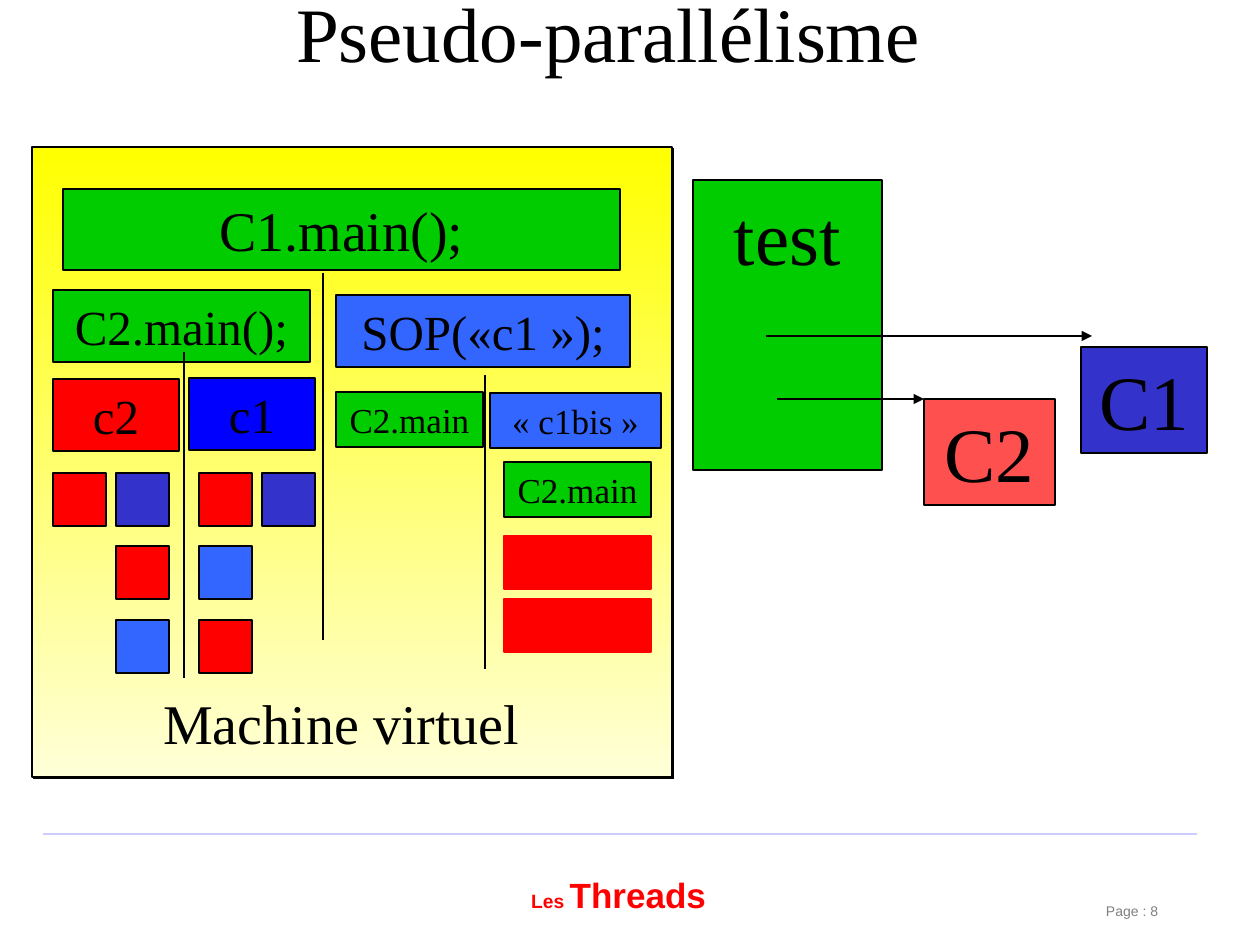
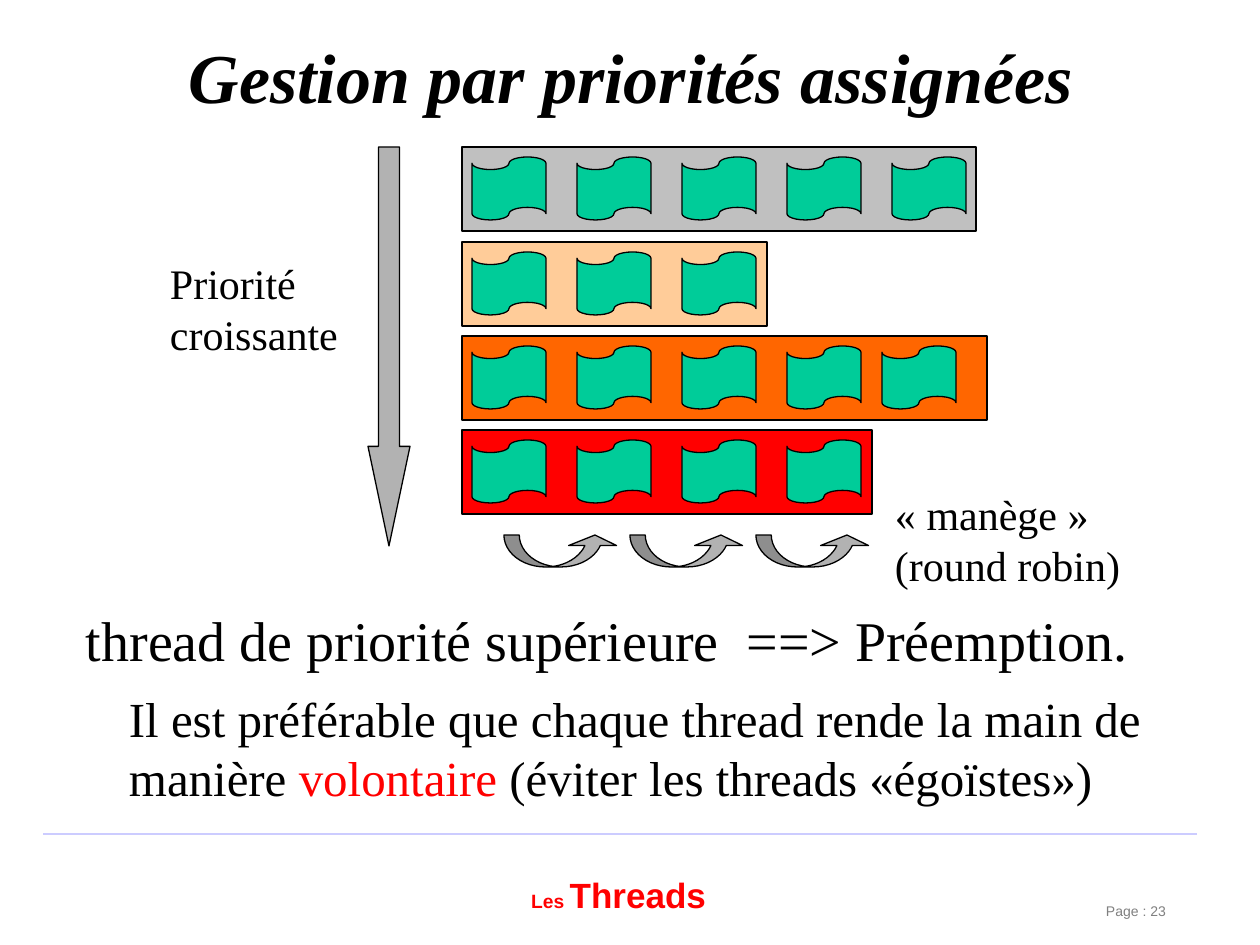
from dataclasses import dataclass
from typing import NamedTuple

from lxml import etree
from pptx import Presentation
from pptx.dml.color import RGBColor
from pptx.enum.shapes import MSO_CONNECTOR as Connector, MSO_SHAPE as Preset
from pptx.enum.text import MSO_ANCHOR as Anchor, PP_ALIGN as Align
from pptx.oxml.ns import qn
from pptx.shapes.autoshape import Shape
from pptx.slide import Slide
from pptx.util import Emu, Pt

# Scale: 126 px to the inch
EMU_PER_PX = 914400 / 126
SLIDE_SIZE = (1260, 945)

# Colours
BLACK = RGBColor(0x00, 0x00, 0x00)
GREY = RGBColor(0x80, 0x80, 0x80)
LAVENDER = RGBColor(0xCC, 0xCC, 0xFF)
RED = RGBColor(0xFF, 0x00, 0x00)
CORAL = RGBColor(0xFF, 0x50, 0x50)
GREEN = RGBColor(0x00, 0xCC, 0x00)
TEAL = RGBColor(0x00, 0xCC, 0x99)
BLUE = RGBColor(0x00, 0x00, 0xFF)
INDIGO = RGBColor(0x33, 0x33, 0xCC)
SKY = RGBColor(0x33, 0x66, 0xFF)
YELLOW = RGBColor(0xFF, 0xFF, 0x00)
CREAM = RGBColor(0xFF, 0xFF, 0xD8)
SILVER = RGBColor(0xC0, 0xC0, 0xC0)
STEEL = RGBColor(0xB2, 0xB2, 0xB2)
PEACH = RGBColor(0xFF, 0xCC, 0x99)
ORANGE = RGBColor(0xFF, 0x66, 0x00)

SERIF = "Times New Roman"
SANS = "Arial"


class Area(NamedTuple):
    left: int
    top: int
    width: int
    height: int


class Span(NamedTuple):
    text: str
    size: int
    color: RGBColor = BLACK
    bold: bool = False
    italic: bool = False
    face: str = SERIF


@dataclass
class Block:
    area: Area
    fill: RGBColor
    text: str = ""
    size: int = 28
    line: RGBColor = BLACK
    kind: Preset = Preset.RECTANGLE
    anchor: Anchor = Anchor.MIDDLE
    margin_top: int = 6


class Rule(NamedTuple):
    start: tuple[int, int]
    end: tuple[int, int]
    color: RGBColor = BLACK
    width: float = 0.75
    arrow: bool = False


class Queue(NamedTuple):
    width: int
    fill: RGBColor
    tapes: tuple[int, ...]


def px(length: float) -> Emu:
    return Emu(round(length * EMU_PER_PX))


def write(shape: Shape, paras: list[list[Span]], align: Align = Align.LEFT,
          **frame_format) -> None:
    frame = shape.text_frame
    settings = dict(word_wrap=True, vertical_anchor=Anchor.TOP,
                    margin_left=px(13), margin_right=px(13),
                    margin_top=px(6), margin_bottom=px(6)) | frame_format
    for name, value in settings.items():
        setattr(frame, name, value)
    for index, spans in enumerate(paras):
        para = frame.add_paragraph() if index else frame.paragraphs[0]
        para.alignment = align
        for span in spans:
            run = para.add_run()
            run.text = span.text
            font_format = dict(name=span.face, size=Pt(span.size),
                               bold=span.bold, italic=span.italic)
            for name, value in font_format.items():
                setattr(run.font, name, value)
            run.font.color.rgb = span.color


def add_text(page: Slide, area: Area, paras: list[list[Span]],
             align: Align = Align.LEFT, **frame_format) -> None:
    box = page.shapes.add_textbox(*map(px, area))
    write(box, paras, align, **frame_format)


def add_block(page: Slide, block: Block) -> Shape:
    shape = page.shapes.add_shape(block.kind, *map(px, block.area))
    shape.shadow.inherit = False
    shape.fill.solid()
    shape.fill.fore_color.rgb = block.fill
    shape.line.color.rgb = block.line
    shape.line.width = Pt(0.75)
    if block.text:
        write(shape, [[Span(block.text, block.size)]], Align.CENTER,
              vertical_anchor=block.anchor, margin_top=px(block.margin_top))
    return shape


def add_rule(page: Slide, rule: Rule) -> None:
    line = page.shapes.add_connector(Connector.STRAIGHT,
                                     *map(px, rule.start + rule.end))
    line.line.color.rgb = rule.color
    line.line.width = Pt(rule.width)
    if rule.arrow:
        etree.SubElement(line.line._get_or_add_ln(), qn("a:tailEnd"), type="triangle")
    etree.SubElement(line._element.spPr, qn("a:effectLst"))


def add_page(deck: Presentation, number: int, title: list[Span],
             left: int, top: int) -> Slide:
    """Blank page with its title, footer rule, course name and page number."""
    page = deck.slides.add_slide(deck.slide_layouts[6])
    add_rule(page, Rule((1197, 834), (43, 834), LAVENDER, 1))
    sides = dict(margin_left=px(11), margin_right=px(11))
    add_text(page, Area(1095, 897, 102, 28),
             [[Span(f"Page : {number}", 8, GREY, face=SANS)]], **sides)
    add_text(page, Area(520, 868, 198, 53),
             [[Span("Les ", 11, RED, True, face=SANS),
               Span("Threads", 20, RED, True, face=SANS)]],
             word_wrap=False, **sides)
    add_text(page, Area(left, top, 1071, 158), [title], Align.CENTER)
    return page


# Slide 1: tasks sharing one virtual machine
CLASSES = [
    Block(Area(693, 180, 189, 290), GREEN, "test", 44,
          anchor=Anchor.TOP, margin_top=9),
    Block(Area(1081, 347, 126, 106), INDIGO, "C1", 44),
    Block(Area(924, 399, 131, 106), CORAL, "C2", 44),
]
CALLS = [
    Block(Area(336, 295, 294, 72), SKY, "SOP(«c1 »);"),
    Block(Area(63, 189, 557, 81), GREEN, "C1.main();", 32),
    Block(Area(53, 379, 126, 72), RED, "c2"),
    Block(Area(189, 378, 126, 72), BLUE, "c1"),
    Block(Area(53, 290, 257, 72), GREEN, "C2.main();"),
    Block(Area(336, 392, 147, 55), GREEN, "C2.main", 20),
    Block(Area(490, 393, 171, 55), SKY, "« c1bis »", 20),
    Block(Area(504, 462, 147, 55), GREEN, "C2.main", 20),
    Block(Area(504, 536, 147, 53), RED, line=RED),
    Block(Area(504, 599, 147, 53), RED, line=RED),
]
RULES = [
    Rule((766, 336), (1092, 336), arrow=True),
    Rule((777, 399), (924, 399), arrow=True),
    Rule((323, 273), (323, 640)),
    Rule((184, 352), (184, 678)),
    Rule((485, 375), (485, 669)),
]
SLICE_COLUMNS = (53, 116, 199, 262)
SLICE_ROWS = {
    473: (RED, INDIGO, RED, INDIGO),
    546: (None, RED, SKY, None),
    620: (None, SKY, RED, None),
}


def add_machine(page: Slide) -> None:
    machine = add_block(page, Block(Area(32, 147, 640, 630), YELLOW))
    machine.fill.gradient()
    machine.fill.gradient_angle = 270
    for stop, color in zip(machine.fill.gradient_stops, (YELLOW, CREAM)):
        stop.color.rgb = color
    effects = machine._element.spPr.find(qn("a:effectLst"))
    shadow = etree.SubElement(effects, qn("a:outerShdw"), dist="17780",
                              dir="2700000", algn="ctr", rotWithShape="0")
    etree.SubElement(shadow, qn("a:srgbClr"), val=str(BLACK))


def build_parallelism(deck: Presentation) -> None:
    page = add_page(deck, 8, [Span("Pseudo-parallélisme", 44)], 73, -21)
    add_machine(page)
    for block in CLASSES + CALLS:
        add_block(page, block)
    for top, colors in SLICE_ROWS.items():
        for left, color in zip(SLICE_COLUMNS, colors):
            if color is not None:
                add_block(page, Block(Area(left, top, 53, 53), color))
    for rule in RULES:
        add_rule(page, rule)
    add_text(page, Area(126, 683, 431, 81),
             [[Span("Machine virtuel", 32)]], Align.CENTER)


# Slide 2: one queue per priority
QUEUES = [
    Queue(514, SILVER, (0, 105, 210, 315, 420)),
    Queue(305, PEACH, (0, 105, 210)),
    Queue(525, ORANGE, (0, 105, 210, 315, 410)),
    Queue(410, RED, (0, 105, 210, 315)),
]


def build_priorities(deck: Presentation) -> None:
    page = add_page(deck, 23, [
        Span("Gestion par priorités assignées", 40, bold=True, italic=True),
        Span(" ", 44)], 105, 21)

    # Queues and their waiting threads
    for row, queue in enumerate(QUEUES):
        top = round(147 + 94.5 * row)
        add_block(page, Block(Area(462, top, queue.width, 84), queue.fill))
        for offset in queue.tapes:
            add_block(page, Block(Area(472 + offset, top + 10, 74, 63), TEAL,
                                  kind=Preset.FLOWCHART_PUNCHED_TAPE))

    # Priority arrow and round-robin arrows
    arrows = [(Area(368, 147, 42, 399), Preset.DOWN_ARROW, (0.5, 2.37))]
    arrows += [(Area(504 + 126 * turn, 535, 115, 32), Preset.CURVED_UP_ARROW,
                (0.48, 1.5, 0.33)) for turn in range(3)]
    for area, kind, adjustments in arrows:
        arrow = add_block(page, Block(area, STEEL, kind=kind))
        for index, value in enumerate(adjustments):
            arrow.adjustments[index] = value

    # Captions and conclusions
    add_text(page, Area(157, 252, 202, 113), [[Span("Priorité croissante", 24)]])
    add_text(page, Area(882, 483, 357, 113),
             [[Span("« manège »", 24)], [Span("(round robin)", 24)]])
    add_text(page, Area(73, 599, 1144, 81),
             [[Span("thread de priorité supérieure  ==> Préemption.", 32)]])
    add_text(page, Area(116, 683, 1102, 131), [[
        Span("Il est préférable que chaque thread rende la main de manière ", 28),
        Span("volontaire ", 28, RED),
        Span("(éviter les threads «égoïstes»)", 28)]])


def main() -> None:
    deck = Presentation()
    deck.slide_width, deck.slide_height = map(px, SLIDE_SIZE)
    build_parallelism(deck)
    build_priorities(deck)
    deck.save("out.pptx")


if __name__ == "__main__":
    main()
